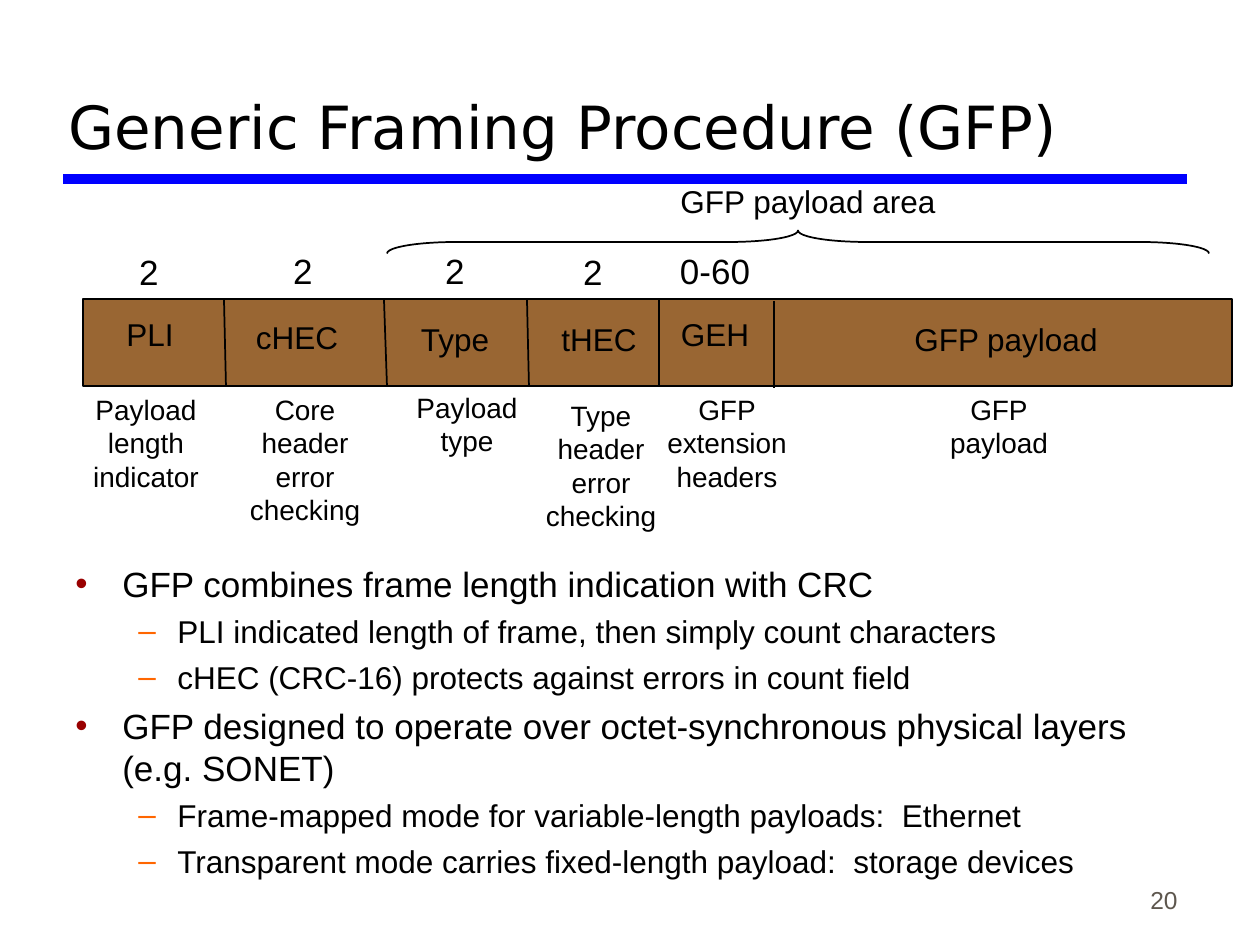
from lxml.etree import SubElement
from pptx import Presentation
from pptx.dml.color import RGBColor
from pptx.enum.shapes import MSO_CONNECTOR, MSO_SHAPE
from pptx.enum.text import MSO_ANCHOR as ANCHOR, PP_ALIGN as ALIGN
from pptx.oxml.ns import qn
from pptx.util import Pt

PX = 914400 / 126
BLACK = "000000"
TITLE = "Generic Framing Procedure (GFP)"
PAGE_NUMBER = "20"

# Text, centre x, top, width
COUNTS = [
    ("2", 149, 244, 48),
    ("2", 303, 243, 48),
    ("2", 455, 243, 48),
    ("2", 593, 244, 48),
    ("0-60", 715, 243, 99),
]
FIELDS = [
    ("PLI", 150, 309, 78),
    ("cHEC", 297, 312, 113),
    ("Type", 455, 314, 101),
    ("tHEC", 599, 314, 107),
    ("GEH", 715, 309, 99),
    ("GFP payload", 1006, 314, 215),
]
MEANINGS = [
    ("Payload\nlength\nindicator", 146, 386, 137),
    ("Core\nheader\nerror\nchecking", 305, 386, 171),
    ("Payload\ntype", 467, 384, 160),
    ("Type\nheader\nerror\nchecking", 601, 392, 171),
    ("GFP\nextension\nheaders", 727, 386, 193),
    ("GFP\npayload", 999, 386, 171),
]
AREA = [("GFP payload area", 808, 176, 452)]
# Top x, bottom x, top y
DIVIDERS = [(224, 226, 299), (384, 387, 299), (527, 529, 299),
            (659, 659, 299), (774, 774, 301)]
DIVIDER_HEIGHT = 87

# Level, text
POINTS = [
    (0, "GFP combines frame length indication with CRC"),
    (1, "PLI indicated length of frame, then simply count characters"),
    (1, "cHEC (CRC-16) protects against errors in count field"),
    (0, "GFP designed to operate over octet-synchronous physical layers (e.g. SONET)"),
    (1, "Frame-mapped mode for variable-length payloads:  Ethernet"),
    (1, "Transparent mode carries fixed-length payload:  storage devices"),
]
# Bullet, colour, left margin, hanging indent, size, space before
LEVELS = [("•", "990000", 47, 47, 20, 5), ("–", "FF6600", 102, 39, 18, 4.5)]


def px(*values):
    return [round(v * PX) for v in values]


def rgb(color):
    return RGBColor.from_string(color)


def add_text(slide, text, box, size, align=ALIGN.LEFT, anchor=ANCHOR.TOP,
             wrap=True, font="Arial", color=BLACK):
    tf = slide.shapes.add_textbox(*px(*box)).text_frame
    tf.word_wrap = wrap
    tf.vertical_anchor = anchor
    tf.text = text
    for p in tf.paragraphs:
        p.alignment = align
        for r in p.runs:
            r.font.name, r.font.size = font, Pt(size)
            r.font.color.rgb = rgb(color)
    return tf


def add_labels(slide, labels, size):
    for text, center, top, width in labels:
        lines = text.count("\n") + 1
        height = round(12 + lines * size * 2.1)
        add_text(slide, text, (center - width / 2, top, width, height), size,
                 ALIGN.CENTER, wrap=False)


def add_line(slide, ends, color, width):
    line = slide.shapes.add_connector(MSO_CONNECTOR.STRAIGHT, *px(*ends))
    line.line.color.rgb = rgb(color)
    line.line.width = Pt(width)
    SubElement(line._element.spPr, qn("a:effectLst"))


def add_outlined(slide, kind, box):
    sp = slide.shapes.add_shape(kind, *px(*box))
    sp.shadow.inherit = False
    sp.line.color.rgb = rgb(BLACK)
    sp.line.width = Pt(1)
    return sp


def set_bullet(p, level):
    char, color, margin, hang, _, _ = LEVELS[level]
    p.level = level
    pPr = p._p.get_or_add_pPr()
    pPr.set("marL", str(px(margin)[0]))
    pPr.set("indent", str(px(-hang)[0]))
    SubElement(SubElement(pPr, qn("a:buClr")), qn("a:srgbClr"), val=color)
    SubElement(pPr, qn("a:buFont"), typeface="Arial")
    SubElement(pPr, qn("a:buChar"), char=char)


def add_points(slide):
    text = "\n".join(point for _, point in POINTS)
    tf = add_text(slide, text, (63, 556, 1134, 364), 20)
    for i, (p, (level, _)) in enumerate(zip(tf.paragraphs, POINTS)):
        size, before = LEVELS[level][4:]
        if i:
            p.space_before = Pt(before)
        set_bullet(p, level)
        p.runs[0].font.size = Pt(size)


def add_frame(slide):
    frame = add_outlined(slide, MSO_SHAPE.RECTANGLE, (83, 299, 1149, 87))
    frame.fill.solid()
    frame.fill.fore_color.rgb = rgb("996633")
    for top_x, bottom_x, y in DIVIDERS:
        add_line(slide, (top_x, y, bottom_x, y + DIVIDER_HEIGHT), BLACK, 1)
    for labels, size in ((FIELDS, 18), (MEANINGS, 16), (COUNTS, 20), (AREA, 18)):
        add_labels(slide, labels, size)
    # Upright brace, turned about its centre so that it points up
    length, depth, center_x, center_y = 822, 23, 798, 242
    brace = add_outlined(slide, MSO_SHAPE.LEFT_BRACE,
                         (center_x - depth / 2, center_y - length / 2, depth, length))
    brace.fill.background()
    brace.rotation = 90
    brace.adjustments[0] = 3


def main():
    prs = Presentation()
    prs.slide_width, prs.slide_height = px(1260, 945)
    slide = prs.slides.add_slide(prs.slide_layouts[6])
    add_line(slide, (63, 179, 1187, 179), "0000FF", 6)
    add_text(slide, PAGE_NUMBER, (928, 858, 262, 63), 14, ALIGN.RIGHT,
             ANCHOR.BOTTOM, color="5E574E")
    add_frame(slide)
    add_text(slide, TITLE, (56, 21, 1130, 147), 34, anchor=ANCHOR.BOTTOM,
             font="DejaVu Sans")
    add_points(slide)
    prs.save("out.pptx")


if __name__ == "__main__":
    main()
